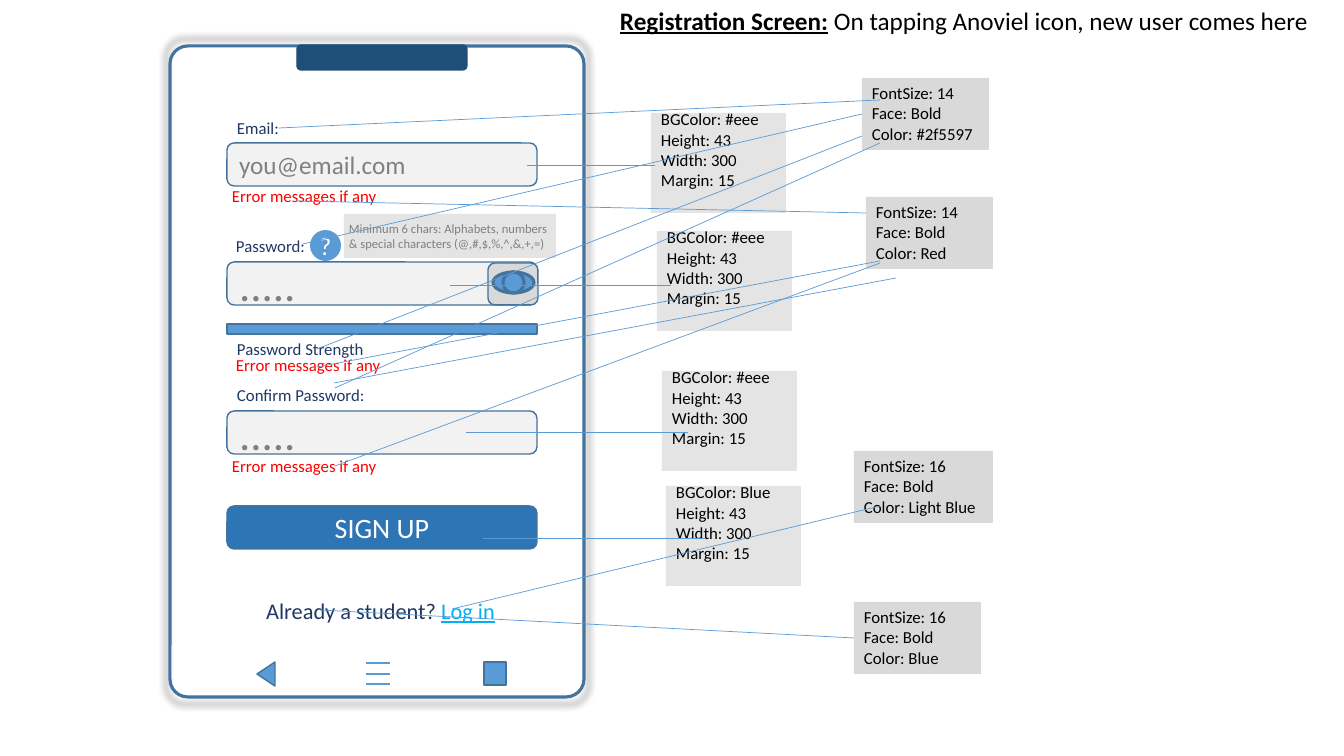
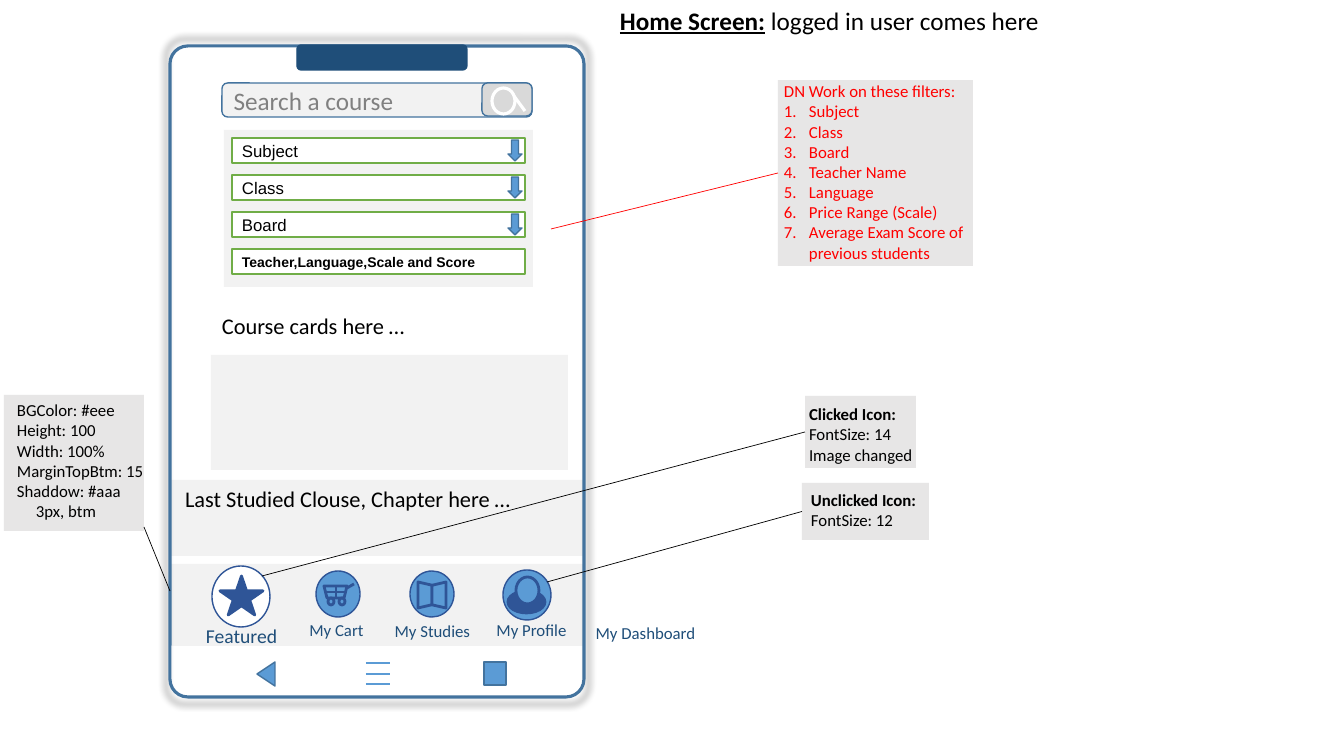
import dataclasses

import lxml.etree
import pptx
import pptx.dml.color
import pptx.enum.shapes
import pptx.enum.text
import pptx.oxml.ns
import pptx.util

PX = 914400 / 100.8
SHAPE = pptx.enum.shapes.MSO_SHAPE
ALIGN = pptx.enum.text.PP_ALIGN
ANCHOR = pptx.enum.text.MSO_ANCHOR
qn = pptx.oxml.ns.qn


@dataclasses.dataclass(frozen=True)
class Theme:
    font: str = "Calibri"
    arial: str = "Arial"
    black: str = "000000"
    white: str = "FFFFFF"
    red: str = "FF0000"
    blue: str = "5B9BD5"
    edge: str = "43739E"
    deep: str = "1F4E79"
    icon: str = "2F5597"
    button: str = "2E75B6"
    navy: str = "203864"
    link: str = "00B0F0"
    green: str = "70AD47"
    grey: str = "808080"
    pale: str = "F2F2F2"
    panel: str = "D9D9D9"
    note: str = "E7E6E6"
    tiny: int = 9
    small: int = 10
    body: int = 12
    label: int = 14
    lead: int = 16
    title: int = 18
    action: int = 20
    dots: int = 32


T = Theme()


def px(n):
    return round(n * PX)


def add(s, kind, box, text=(), fill=None, line=None, weight=1, color=T.black, size=T.body,
        font=T.font, align=ALIGN.LEFT, anchor=ANCHOR.TOP, wrap=True, inset=(10, 5, 10, 5),
        alpha=None, rotation=0, adj=None):
    """Place a preset shape, a text box (kind None) or the "title" or "body" placeholder.

    Each line of text is a string or a list of (text, font values) runs.
    """
    if kind == "title":
        sp = s.shapes.title
    elif kind == "body":
        sp = s.placeholders[1]
    elif kind is None:
        sp = s.shapes.add_textbox(0, 0, 0, 0)
    else:
        sp = s.shapes.add_shape(kind, 0, 0, 0, 0)
        sp.shadow.inherit = False
    for name, n in zip(("left", "top", "width", "height"), box):
        setattr(sp, name, px(n))
    if rotation:
        sp.rotation = rotation
    if adj is not None:
        sp.adjustments[0] = adj
    if fill:
        sp.fill.solid()
        sp.fill.fore_color.rgb = pptx.dml.color.RGBColor.from_string(fill)
        if alpha:
            clr = sp.fill._xPr.find(".//" + qn("a:srgbClr"))
            lxml.etree.SubElement(clr, qn("a:alpha"), val=str(alpha * 1000))
    else:
        sp.fill.background()
    if line:
        sp.line.color.rgb = pptx.dml.color.RGBColor.from_string(line)
        sp.line.width = pptx.util.Pt(weight)
    else:
        sp.line.fill.background()
    tf = sp.text_frame
    frame = {"word_wrap": wrap, "vertical_anchor": anchor,
             "auto_size": pptx.enum.text.MSO_AUTO_SIZE.NONE}
    frame.update(zip(("margin_left", "margin_top", "margin_right", "margin_bottom"), map(px, inset)))
    for name, value in frame.items():
        setattr(tf, name, value)
    for i, runs in enumerate(text):
        p = tf.add_paragraph() if i else tf.paragraphs[0]
        p.alignment = align
        p.space_before = pptx.util.Pt(0)
        for words, values in [(runs, {})] if isinstance(runs, str) else runs:
            r = p.add_run()
            r.text = words
            values = {"name": font, "size": pptx.util.Pt(size), "bold": False, "color": color} | values
            r.font.color.rgb = pptx.dml.color.RGBColor.from_string(values.pop("color"))
            for name, value in values.items():
                setattr(r.font, name, value)
    return sp


def connect(s, x1, y1, x2, y2, color=T.blue, weight=0.5, target=None):
    """Draw a line, joined to the middle of the target's left side if there is a target."""
    cn = s.shapes.add_connector(pptx.enum.shapes.MSO_CONNECTOR.STRAIGHT, *map(px, (x1, y1, x2, y2)))
    cn.line.color.rgb = pptx.dml.color.RGBColor.from_string(color)
    cn.line.width = pptx.util.Pt(weight)
    lxml.etree.SubElement(cn._element.spPr, qn("a:effectLst"))
    if target is not None:
        cn.end_connect(target, 1)


prs = pptx.Presentation()
prs.slide_width, prs.slide_height = px(1344), px(756)

# Shared parts: heading, phone frame and navigation bar
BOLD = {"bold": True}
screens = [
    (5, "Registration Screen:", "On tapping Anoviel icon, new user comes here", []),
    (1, "Home Screen:", "logged in user comes here",
     [(170, 564, 414, 82), (170, 480, 414, 76), (211, 355, 357, 115)]),
]
for layout, name, detail, bands in screens:
    s = prs.slides.add_slide(prs.slide_layouts[layout])
    add(s, "title", (610, 0, 732, 40),
        [[(name, BOLD | {"underline": True}), (" " + detail, {})]], size=T.title, wrap=False)
    for band in bands:
        add(s, SHAPE.RECTANGLE, band, fill=T.pale)
    phone = add(s, SHAPE.ROUNDED_RECTANGLE, (170, 46, 414, 651), line=T.edge, weight=2.25, adj=0.043)
    effects = phone._element.spPr.find(qn("a:effectLst"))
    glow = lxml.etree.SubElement(effects, qn("a:outerShdw"), blurRad="63500", sx="102000",
                                 sy="102000", algn="ctr", rotWithShape="0")
    clr = lxml.etree.SubElement(glow, qn("a:srgbClr"), val=T.black)
    lxml.etree.SubElement(clr, qn("a:alpha"), val="40000")
    add(s, SHAPE.ROUNDED_RECTANGLE, (297, 45, 170, 25), fill=T.deep, line=T.deep)
    add(s, SHAPE.ISOSCELES_TRIANGLE, (254, 665, 24, 18), fill=T.blue, line=T.edge, rotation=270)
    add(s, SHAPE.RECTANGLE, (484, 662, 22, 23), fill=T.blue, line=T.edge)
    for y in (663, 674, 684):
        connect(s, 366, y, 390, y, weight=2)

registration, home = prs.slides

# Registration form
s = registration
for y, text, size in ((143, "you@email.com", T.title), (262, ".....", T.dots), (411, ".....", T.dots)):
    add(s, SHAPE.ROUNDED_RECTANGLE, (227, y, 310, 43), [text], fill=T.pale, line=T.edge,
        color=T.grey, size=size, anchor=ANCHOR.MIDDLE)
add(s, SHAPE.ROUNDED_RECTANGLE, (488, 263, 50, 42), fill=T.panel, line=T.edge)
for x, w in ((493, 41), (503, 21)):
    add(s, SHAPE.OVAL, (x, 272, w, 21), fill=T.blue, line=T.edge, weight=2.25)
add(s, SHAPE.RECTANGLE, (227, 324, 310, 10), fill=T.blue, line=T.edge)
for x, y, w, text in ((227, 113, 67, "Email:"), (226, 231, 95, "Password:"),
                      (227, 334, 148, "Password Strength"), (227, 380, 153, "Confirm Password:")):
    add(s, None, (x, y, w, 30), [text], color=T.navy, wrap=False)
add(s, SHAPE.OVAL, (310, 230, 31, 31), ["?"], fill=T.blue, color=T.white, size=T.title,
    align=ALIGN.CENTER, anchor=ANCHOR.MIDDLE, wrap=False, inset=(0, 0, 0, 0))
add(s, SHAPE.RECTANGLE, (344, 214, 212, 44),
    ["Minimum 6 chars: Alphabets, numbers", "& special characters (@,#,$,%,^,&,+,=)"],
    fill=T.panel, alpha=70, color=T.grey, size=T.tiny, anchor=ANCHOR.MIDDLE, inset=(5, 5, 0, 5))
add(s, SHAPE.ROUNDED_RECTANGLE, (227, 506, 310, 43), ["SIGN UP"], fill=T.button, line=T.edge,
    color=T.white, size=T.action, align=ALIGN.CENTER, anchor=ANCHOR.MIDDLE)
for x, y in ((222, 181), (226, 350), (222, 451)):
    add(s, None, (x, y, 312, 30), ["Error messages if any"], color=T.red)
add(s, None, (225, 592, 311, 37),
    [[("Already a student? ", {}), ("Log in", {"color": T.link, "underline": True})]],
    color=T.navy, size=T.lead, align=ALIGN.CENTER)

# Field and text style notes with their pointers
for x, y, color, x1, x2, line_y in ((651, 113, "#eee", 527, 655, 165), (657, 231, "#eee", 450, 671, 285),
                                    (662, 371, "#eee", 466, 688, 432), (666, 486, "Blue", 483, 706, 538)):
    add(s, SHAPE.RECTANGLE, (x, y, 135, 100),
        [f"BGColor: {color}", "Height: 43", "Width: 300", "Margin: 15"],
        fill=T.panel, alpha=70, anchor=ANCHOR.MIDDLE, inset=(10, 5, 10, 32))
    connect(s, x1, line_y, x2, line_y)
style_notes = [
    ((862, 78, 127, 72), 14, "#2f5597",
     [(279, 128, 880, 100), (303, 244, 862, 114), (317, 349, 862, 136), (335, 388, 880, 143)]),
    ((866, 197, 127, 72), 14, "Red",
     [(296, 201, 866, 213), (317, 367, 880, 261), (335, 466, 880, 263), (334, 383, 896, 278)]),
    ((854, 602, 127, 72), 16, "Blue", [(320, 610, 854, 638)]),
    ((854, 451, 139, 72), 16, "Light Blue", [(452, 609, 880, 506)]),
]
for box, size, color, pointers in style_notes:
    note = add(s, SHAPE.RECTANGLE, box, [f"FontSize: {size}", "Face: Bold", f"Color: {color}"], fill=T.panel)
    side_middle = (box[0], box[1] + box[3] / 2)
    for pointer in pointers:
        connect(s, *pointer, target=note if pointer[2:] == side_middle else None)

# Home: search and filters
s = home
add(s, SHAPE.ROUNDED_RECTANGLE, (222, 83, 310, 34), ["Search a course"], fill=T.pale, line=T.edge,
    color=T.grey, size=T.title, anchor=ANCHOR.MIDDLE)
add(s, SHAPE.ROUNDED_RECTANGLE, (482, 83, 50, 33), fill=T.panel, line=T.edge)
add(s, SHAPE.OVAL, (492, 88, 23, 26), line=T.white, weight=2.25)
connect(s, 514, 96, 525, 111, T.white, 2.25)
add(s, SHAPE.RECTANGLE, (224, 130, 309, 157), fill=T.pale)
for i, text in enumerate(("Subject", "Class", "Board", "Teacher,Language,Scale and Score")):
    y = 138 + 37 * i
    last = i == 3
    add(s, SHAPE.RECTANGLE, (232, y, 293, 25), [[(text, {"bold": last})]], fill=T.white, line=T.green,
        font=T.arial, size=T.small if last else T.body, anchor=ANCHOR.MIDDLE)
    if not last:
        add(s, SHAPE.DOWN_ARROW, (508, y + 2, 14, 21), fill=T.blue, line=T.edge)
for box, text in (((212, 307, 217, 37), "Course cards here …"),
                  ((175, 480, 358, 37), "Last Studied Clouse, Chapter here …")):
    add(s, None, box, [text], size=T.lead)

# Tab icons
for box, fill in (((212, 566, 58, 61), T.white), ((316, 571, 44, 46), T.blue),
                  ((410, 571, 44, 46), T.blue), ((503, 570, 48, 50), T.blue)):
    add(s, SHAPE.OVAL, box, fill=fill, line=T.icon)
icon_parts = [
    (SHAPE.STAR_5_POINT, (220, 576, 43, 39), T.icon, 0, None),
    (SHAPE.TRAPEZOID, (324, 586, 23, 12), None, 180, None),
    (SHAPE.OVAL, (328, 598, 6, 7), None, 0, None),
    (SHAPE.OVAL, (339, 598, 6, 7), None, 0, None),
    (SHAPE.TRAPEZOID, (412, 588, 26, 14), T.blue, 90, 0.23),
    (SHAPE.TRAPEZOID, (426, 588, 26, 14), T.blue, 270, 0.23),
    (SHAPE.OVAL, (508, 591, 37, 22), T.icon, 0, None),
    (SHAPE.OVAL, (516, 577, 23, 27), T.blue, 0, None),
]
for kind, box, fill, rotation, adj in icon_parts:
    add(s, kind, box, fill=fill, line=T.icon, weight=2, rotation=rotation, adj=adj)
for cart_line in ((347, 588, 354, 584), (326, 592, 346, 592), (336, 586, 336, 598)):
    connect(s, *cart_line, T.icon, 2)
for box, text, size in (((195, 619, 93, 34), "Featured", T.label), ((299, 615, 75, 30), "My Cart", T.body),
                        ((384, 616, 97, 30), "My Studies", T.body), ((486, 615, 91, 30), "My Profile", T.body),
                        ((585, 618, 121, 30), "My Dashboard", T.body)):
    add(s, None, box, [text], color=T.deep, size=size, align=ALIGN.CENTER, wrap=False)

# Notes with their pointers
filters = add(s, "body", (778, 80, 195, 186),
              ["DN Work on these filters:", "Subject", "Class", "Board", "Teacher Name", "Language",
               "Price Range (Scale)", "Average Exam Score of previous students"],
              fill=T.note, color=T.red, inset=(6, 1, 0, 0))
for i, p in enumerate(filters.text_frame.paragraphs):
    pPr = p._p.get_or_add_pPr()
    indent = px(25) if i else 0
    pPr.set("marL", str(indent))
    pPr.set("indent", str(-indent))
    if i:
        lxml.etree.SubElement(pPr, qn("a:buFont"), typeface="+mj-lt")
        lxml.etree.SubElement(pPr, qn("a:buAutoNum"), type="arabicPeriod")
    else:
        lxml.etree.SubElement(pPr, qn("a:buNone"))
connect(s, 551, 229, 778, 173, T.red, target=filters)

add(s, SHAPE.RECTANGLE, (4, 395, 140, 136), fill=T.note)
bar_note = add(s, None, (7, 395, 150, 132),
               ["BGColor: #eee", "Height: 100", "Width: 100%", "MarginTopBtm: 15", "Shaddow: #aaa", "3px, btm"])
bar_note.text_frame.paragraphs[-1]._p.get_or_add_pPr().set("marL", str(px(19)))
connect(s, 170, 591, 144, 527, T.black)

for box, inset, lines, start in (
        ((805, 396, 111, 72), (4, 8, 0, 0), ["Clicked Icon:", "FontSize: 14", "Image changed"], (262, 576)),
        ((802, 483, 127, 57), (9, 7, 0, 0), ["Unclicked Icon:", "FontSize: 12"], (547, 582))):
    note = add(s, SHAPE.RECTANGLE, box, [[(lines[0], BOLD)], *lines[1:]], fill=T.note, inset=inset)
    connect(s, *start, box[0], box[1] + box[3] / 2, T.black, target=note)

prs.save("out.pptx")
